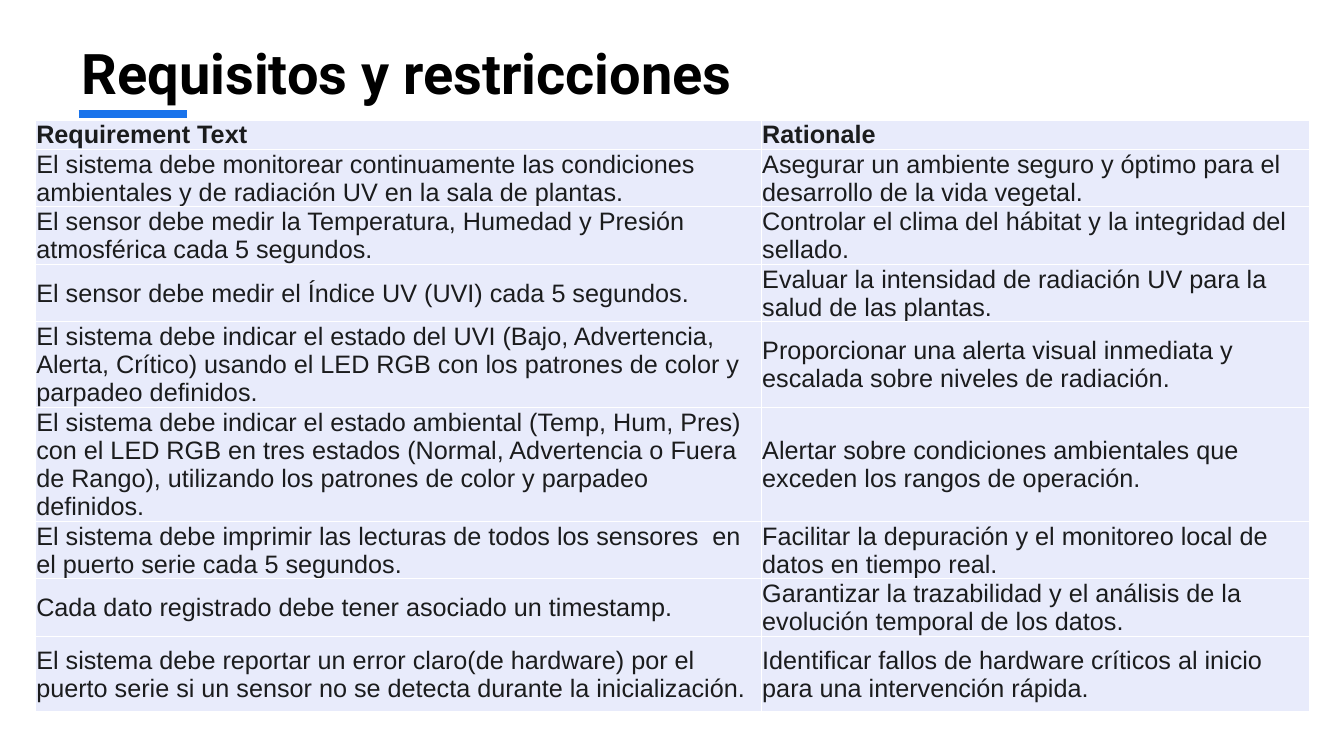
from lxml import etree
from pptx import Presentation, util as u
from pptx.dml.color import RGBColor
from pptx.enum import shapes, text
from pptx.oxml import parse_xml, ns

INK = RGBColor(0x1B, 0x1C, 0x1D)
BLACK = RGBColor(0, 0, 0)
ACCENT = RGBColor(0x19, 0x73, 0xEB)
LAVENDER = RGBColor(0xE8, 0xEB, 0xFB)
BORDER = RGBColor(0xFF, 0xFF, 0xFF)

COLUMN_WIDTHS = [7.2, 5.44]
REQUIREMENTS = [
    (0.28, "Requirement Text", "Rationale"),
    (0.56, "El sistema debe monitorear continuamente las condiciones ambientales y de radiación UV en la sala de plantas.",
     "Asegurar un ambiente seguro y óptimo para el desarrollo de la vida vegetal."),
    (0.56, "El sensor debe medir la Temperatura, Humedad y Presión atmosférica cada 5 segundos.",
     "Controlar el clima del hábitat y la integridad del sellado."),
    (0.43, "El sensor debe medir el Índice UV (UVI) cada 5 segundos.",
     "Evaluar la intensidad de radiación UV para la salud de las plantas."),
    (0.83, "El sistema debe indicar el estado del UVI (Bajo, Advertencia, Alerta, Crítico) usando el LED RGB con los patrones de color y parpadeo definidos.",
     "Proporcionar una alerta visual inmediata y escalada sobre niveles de radiación."),
    (1.11, "El sistema debe indicar el estado ambiental (Temp, Hum, Pres) con el LED RGB en tres estados (Normal, Advertencia o Fuera de Rango), utilizando los patrones de color y parpadeo definidos.",
     "Alertar sobre condiciones ambientales que exceden los rangos de operación."),
    (0.56, "El sistema debe imprimir las lecturas de todos los sensores  en el puerto serie cada 5 segundos.",
     "Facilitar la depuración y el monitoreo local de datos en tiempo real."),
    (0.56, "Cada dato registrado debe tener asociado un timestamp.",
     "Garantizar la trazabilidad y el análisis de la evolución temporal de los datos."),
    (0.75, "El sistema debe reportar un error claro(de hardware) por el puerto serie si un sensor no se detecta durante la inicialización.",
     "Identificar fallos de hardware críticos al inicio para una intervención rápida."),
]


def apply(target, formats):
    for name, value in formats.items():
        setattr(target, name, value)


def add_borders(cell):
    properties = cell._tc.get_or_add_tcPr()
    for position, side in enumerate(["lnL", "lnR", "lnT", "lnB"]):
        properties.insert(position, parse_xml(
            f'<a:{side} {ns.nsdecls("a")} w="{u.Pt(1)}"><a:solidFill>'
            f'<a:srgbClr val="{BORDER}"/></a:solidFill></a:{side}>'))


deck = Presentation()
apply(deck, {"slide_width": u.Inches(13.33), "slide_height": u.Inches(7.5)})
slide = deck.slides.add_slide(deck.slide_layouts[5])

heading = slide.shapes.title
apply(heading, {"left": u.Inches(0.71), "top": u.Inches(0.33),
                "width": u.Inches(11.91), "height": u.Inches(1.2)})
heading.text_frame.text = "Requisitos y restricciones"
heading.text_frame.vertical_anchor = text.MSO_ANCHOR.TOP
heading_line = heading.text_frame.paragraphs[0]
heading_line.alignment = text.PP_ALIGN.LEFT
heading_font = heading_line.runs[0].font
apply(heading_font, {"name": "Roboto", "size": u.Pt(40), "bold": True})
heading_font.color.rgb = BLACK

underline = slide.shapes.add_connector(
    shapes.MSO_CONNECTOR.STRAIGHT,
    u.Inches(0.78), u.Inches(1.13), u.Inches(1.85), u.Inches(1.13))
underline.line.color.rgb = ACCENT
underline.line.width = u.Pt(6)
etree.SubElement(underline._element.spPr, ns.qn("a:effectLst"))

requirements = slide.shapes.add_table(
    len(REQUIREMENTS), len(COLUMN_WIDTHS), u.Inches(0.35), u.Inches(1.19),
    u.Inches(sum(COLUMN_WIDTHS)), u.Inches(sum(row[0] for row in REQUIREMENTS))).table
apply(requirements, {"first_row": False, "horz_banding": False})
for column, width in zip(requirements.columns, COLUMN_WIDTHS):
    column.width = u.Inches(width)

for row_index, (height, *entries) in enumerate(REQUIREMENTS):
    requirements.rows[row_index].height = u.Inches(height)
    for column_index, entry in enumerate(entries):
        cell = requirements.cell(row_index, column_index)
        apply(cell, {"text": entry, "vertical_anchor": text.MSO_ANCHOR.MIDDLE,
                     "margin_left": u.Inches(0.01), "margin_right": u.Inches(0.01),
                     "margin_top": u.Inches(0.01), "margin_bottom": 0})
        cell.fill.solid()
        cell.fill.fore_color.rgb = LAVENDER
        add_borders(cell)
        entry_font = cell.text_frame.paragraphs[0].runs[0].font
        apply(entry_font, {"name": "Arial", "size": u.Pt(18), "bold": row_index == 0})
        entry_font.color.rgb = INK

deck.save("out.pptx")
